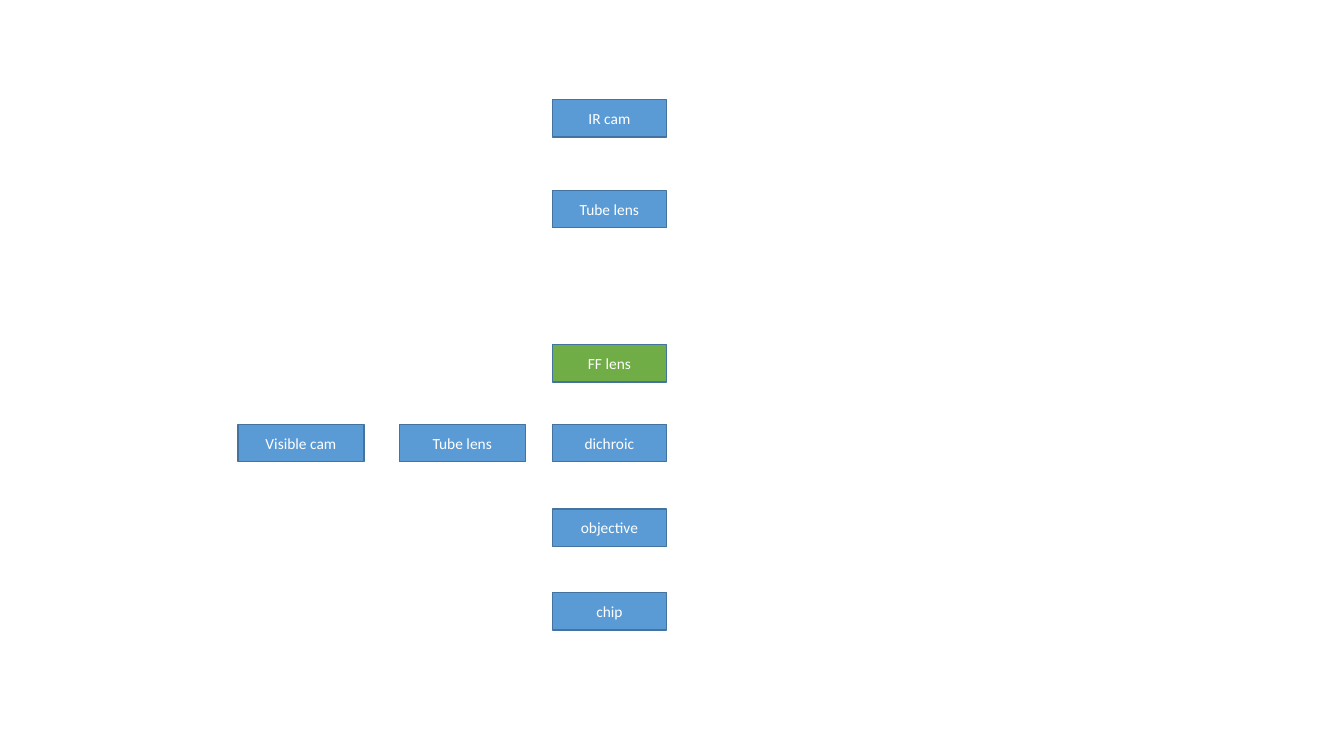
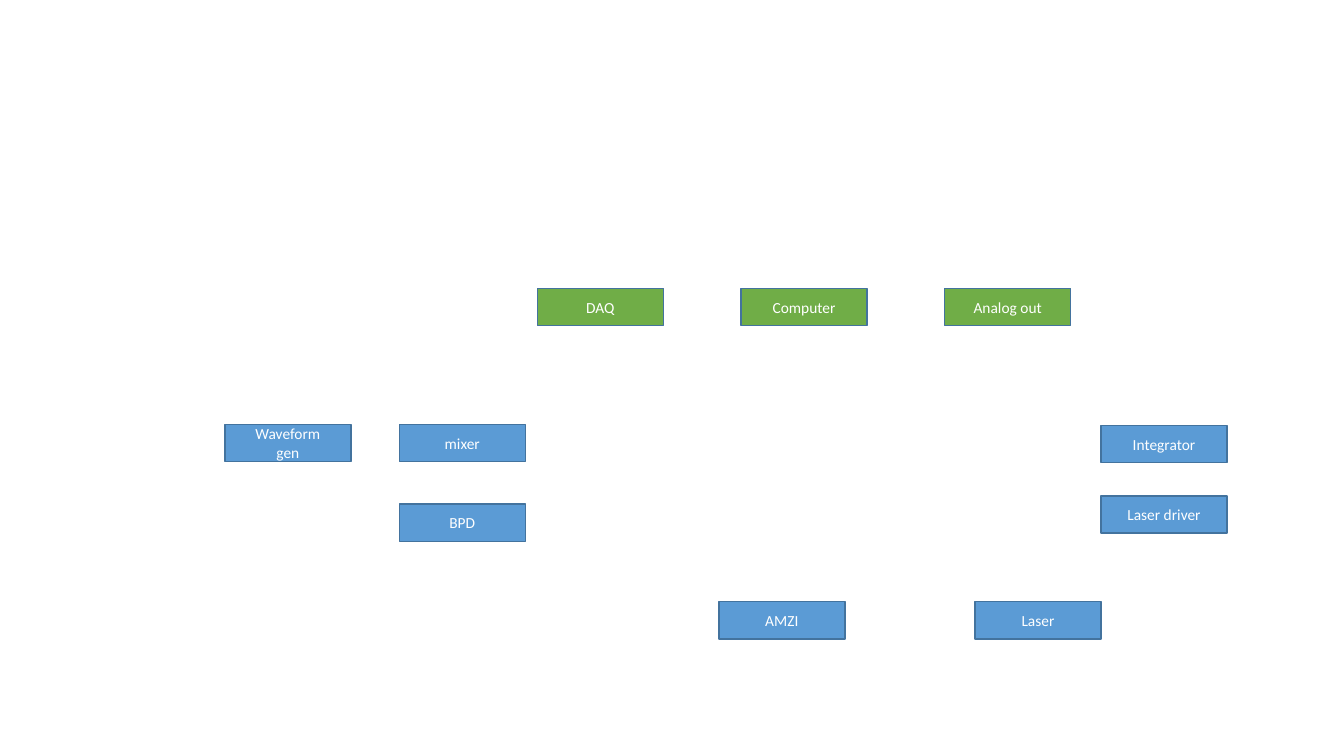
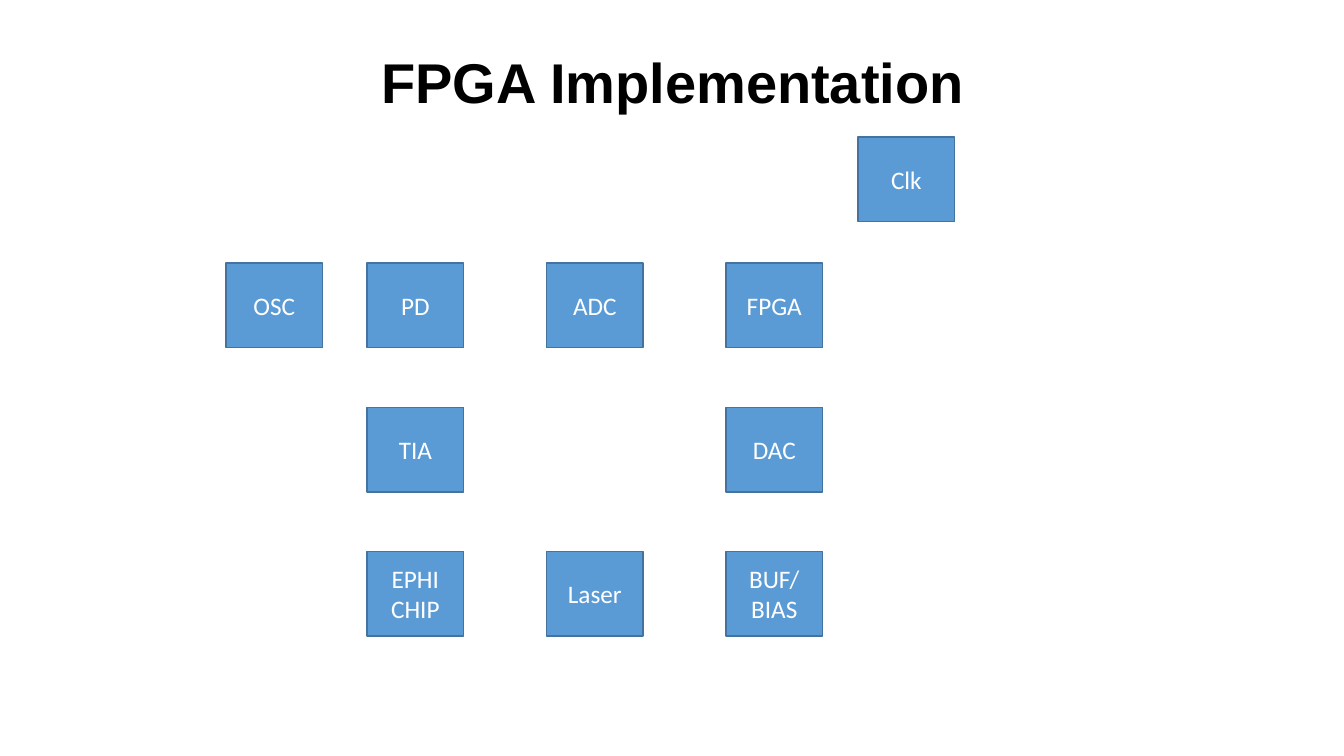
import dataclasses
import pptx
import pptx.dml.color
import pptx.enum.shapes
import pptx.enum.text
import pptx.util


@dataclasses.dataclass(frozen=True)
class Theme:
    block: str = "5B9BD5"
    highlight: str = "70AD47"
    outline: str = "43739E"
    label: str = "FFFFFF"
    title: str = "000000"
    label_font: str = "Calibri"
    title_font: str = "Arial"
    small_size: int = 11
    large_size: int = 18
    title_size: int = 40


theme = Theme()
Inches = pptx.util.Inches
Pt = pptx.util.Pt


def write_text(shape, text, size, font_name, color, bold=False, line_spacing=1.0):
    frame = shape.text_frame
    frame.word_wrap = True
    frame.vertical_anchor = pptx.enum.text.MSO_ANCHOR.MIDDLE
    frame.text = text
    font_format = {"size": Pt(size), "name": font_name, "bold": bold}
    for paragraph in frame.paragraphs:
        paragraph.alignment = pptx.enum.text.PP_ALIGN.CENTER
        paragraph.line_spacing = line_spacing
        for name, value in font_format.items():
            setattr(paragraph.font, name, value)
        paragraph.font.color.rgb = pptx.dml.color.RGBColor.from_string(color)


def add_block(slide, text, left, top, size, text_size, fill):
    shape = slide.shapes.add_shape(
        pptx.enum.shapes.MSO_SHAPE.RECTANGLE,
        Inches(left), Inches(top), Inches(size[0]), Inches(size[1]),
    )
    shape.shadow.inherit = False
    shape.fill.solid()
    shape.fill.fore_color.rgb = pptx.dml.color.RGBColor.from_string(fill)
    shape.line.color.rgb = pptx.dml.color.RGBColor.from_string(theme.outline)
    shape.line.width = Pt(1)
    write_text(shape, text, text_size, theme.label_font, theme.label)


presentation = pptx.Presentation()
presentation.slide_width = Inches(13.33)
presentation.slide_height = Inches(7.5)
blank_layout = presentation.slide_layouts[6]

narrow, wide, square = (1.13, 0.37), (1.25, 0.37), (0.96, 0.84)

optics_slide = presentation.slides.add_slide(blank_layout)
optics_columns = {"camera": 2.36, "tube": 3.96, "axis": 5.48}
optics_rows = [0.99, 1.89, 3.42, 4.21, 5.05, 5.88]
optics_blocks = [
    ("chip", "axis", 5, narrow, theme.block),
    ("objective", "axis", 4, narrow, theme.block),
    ("dichroic", "axis", 3, narrow, theme.block),
    ("Tube lens", "tube", 3, wide, theme.block),
    ("Visible cam", "camera", 3, wide, theme.block),
    ("FF lens", "axis", 2, narrow, theme.highlight),
    ("Tube lens", "axis", 1, narrow, theme.block),
    ("IR cam", "axis", 0, narrow, theme.block),
]
for text, column, row, size, fill in optics_blocks:
    add_block(optics_slide, text, optics_columns[column], optics_rows[row],
              size, theme.small_size, fill)

control_slide = presentation.slides.add_slide(blank_layout)
control_columns = {"generator": 2.23, "detector": 3.96, "chip": 7.13,
                   "laser": 9.67, "driver": 10.92}
control_rows = {"mixing": 4.21, "detection": 5, "integration": 4.22,
                "driving": 4.92, "light": 5.97}
control_blocks = [
    ("mixer", "detector", "mixing"),
    ("Waveform\ngen", "generator", "mixing"),
    ("BPD", "detector", "detection"),
    ("Integrator", "driver", "integration"),
    ("Laser driver", "driver", "driving"),
    ("Laser", "laser", "light"),
    ("AMZI", "chip", "light"),
]
for text, column, row in control_blocks:
    add_block(control_slide, text, control_columns[column], control_rows[row],
              wide, theme.small_size, theme.block)
for index, text in enumerate(["DAQ", "Computer", "Analog out"]):
    add_block(control_slide, text, 5.33 + 2.02 * index, 2.86,
              wide, theme.small_size, theme.highlight)

fpga_slide = presentation.slides.add_slide(blank_layout)
title_box = fpga_slide.shapes.add_textbox(
    Inches(0.92), Inches(0.4), Inches(11.5), Inches(0.9))
write_text(title_box, "FPGA Implementation", theme.title_size, theme.title_font,
           theme.title, bold=True, line_spacing=0.9)
fpga_grid = [
    ["PD", "ADC", "FPGA"],
    ["TIA", None, "DAC"],
    ["EPHI\nCHIP", "Laser", "BUF/\vBIAS"],
]
fpga_blocks = [("OSC", 2.24, 2.61), ("Clk", 8.51, 1.36)]
for row, texts in enumerate(fpga_grid):
    for column, text in enumerate(texts):
        if text:
            fpga_blocks.append((text, 3.64 + 1.78 * column, 2.61 + 1.43 * row))
for text, left, top in fpga_blocks:
    add_block(fpga_slide, text, left, top, square, theme.large_size, theme.block)

presentation.save("out.pptx")
